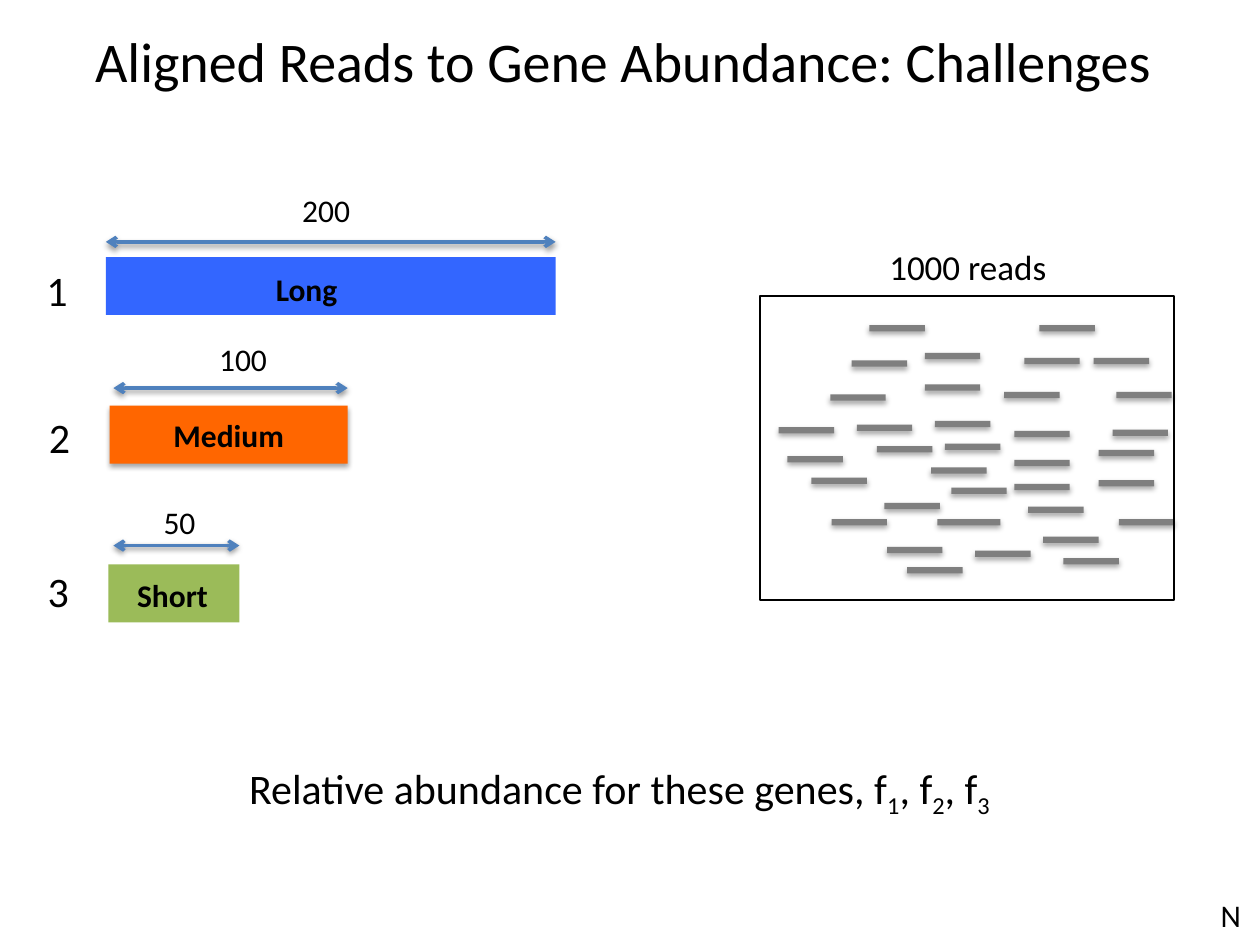
import pptx
import pptx.dml.color
import pptx.enum.shapes
import pptx.enum.text
import pptx.oxml
import pptx.oxml.ns
import pptx.util
from dataclasses import dataclass
from lxml import etree
from pptx.util import Inches

COLOURS = {
    "text": "000000", "arrow": "4F81BD", "read": "7F7F7F", "frame": "000000",
    "long": "3366FF", "medium": "FF6600", "short": "9BBB59",
}
FONT = "Calibri"
READ_WIDTH, READ_HEIGHT = 0.44, 0.05

# Left and top of each read, measured from the corner of the frame
READS = [
    (0.87, 0.23), (1.31, 0.45), (0.73, 0.51), (1.31, 0.70), (0.56, 0.78),
    (0.93, 1.19), (1.36, 1.36), (1.52, 1.52), (2.13, 1.67), (2.02, 1.49),
    (2.02, 1.30), (2.69, 1.22), (2.69, 1.46), (0.99, 1.64), (2.02, 1.07),
    (2.80, 1.06), (0.77, 1.02), (1.39, 0.99), (0.41, 1.44), (0.15, 1.04),
    (0.22, 1.27), (1.47, 1.17), (1.01, 1.99), (1.17, 2.15), (0.57, 1.77),
    (2.85, 1.77), (2.25, 1.91), (2.41, 2.08), (1.71, 2.02), (2.22, 0.23),
    (2.65, 0.49), (2.10, 0.49), (2.83, 0.76), (1.94, 0.76),
]
WIDE_READ = (1.41, 1.77, 0.50)


@dataclass
class Gene:
    """A gene bar; the offsets are measured from the corner of its bar."""
    number: str
    name: str
    length: str
    box: tuple
    number_at: tuple
    length_at: tuple
    arrow: tuple
    name_at: tuple = None
    shadow: bool = False


GENES = [
    Gene("1", "Long", "200", (0.84, 2.04, 3.57, 0.46), (-0.57, 0.01),
         (1.46, -0.57, 0.59), (0, 3.57, -0.12), (1.25, 0.05, 0.71)),
    Gene("2", "Medium", "100", (0.87, 3.22, 1.89, 0.46), (-0.58, 0),
         (0.77, -0.57, 0.59), (0.03, 1.89, -0.14), shadow=True),
    Gene("3", "Short", "50", (0.86, 4.48, 1.04, 0.46), (-0.58, -0.04),
         (0.34, -0.54, 0.46), (0.04, 1.04, -0.15), (0.13, 0.04, 0.77)),
]


def rgb(name):
    return pptx.dml.color.RGBColor.from_string(COLOURS[name])


def set_effects(shape, alpha=None, distance=1.8):
    """Give the shape a soft shadow below it, or none when alpha is None."""
    properties = shape._element.spPr
    for old in properties.findall(pptx.oxml.ns.qn("a:effectLst")):
        properties.remove(old)
    effects = etree.SubElement(properties, pptx.oxml.ns.qn("a:effectLst"))
    if alpha is None:
        return
    shadow = etree.SubElement(
        effects, pptx.oxml.ns.qn("a:outerShdw"),
        blurRad=str(pptx.util.Pt(3.1)), dist=str(pptx.util.Pt(distance)),
        dir="5400000", rotWithShape="0")
    colour = etree.SubElement(shadow, pptx.oxml.ns.qn("a:srgbClr"), val="000000")
    etree.SubElement(colour, pptx.oxml.ns.qn("a:alpha"), val=str(alpha * 1000))


def add_span(para, text, size, bold=False, subscript=False):
    span = para.add_run()
    span.text = text
    span.font.name = FONT
    span.font.size = pptx.util.Pt(size)
    span.font.bold = bold
    span.font.color.rgb = rgb("text")
    if subscript:
        span._r.get_or_add_rPr().set("baseline", "-25000")


def add_label(page, box, text, size, bold=False):
    """Add a one-line text box and return its paragraph."""
    label = page.shapes.add_textbox(*map(Inches, box))
    label.text_frame.word_wrap = False
    label.text_frame.auto_size = pptx.enum.text.MSO_AUTO_SIZE.SHAPE_TO_FIT_TEXT
    para = label.text_frame.paragraphs[0]
    add_span(para, text, size, bold)
    return para


def add_bar(page, box, colour, shadow=False):
    bar = page.shapes.add_shape(
        pptx.enum.shapes.MSO_SHAPE.RECTANGLE, *map(Inches, box))
    bar.fill.solid()
    bar.fill.fore_color.rgb = rgb(colour)
    bar.line.fill.background()
    set_effects(bar, 35 if shadow else None)
    return bar


def add_length_arrow(page, start, end, top):
    arrow = page.shapes.add_connector(
        pptx.enum.shapes.MSO_CONNECTOR.STRAIGHT,
        Inches(start), Inches(top), Inches(end), Inches(top))
    arrow.line.color.rgb = rgb("arrow")
    arrow.line.width = pptx.util.Pt(2)
    line = arrow.line._get_or_add_ln()
    for end_name in ("a:headEnd", "a:tailEnd"):
        etree.SubElement(line, pptx.oxml.ns.qn(end_name), type="arrow")
    set_effects(arrow, 38, 1.6)


def add_title(page, box):
    title = page.shapes.add_textbox(*map(Inches, box))
    title.text_frame.word_wrap = True
    title.text_frame.vertical_anchor = pptx.enum.text.MSO_ANCHOR.MIDDLE
    para = title.text_frame.paragraphs[0]
    para.alignment = pptx.enum.text.PP_ALIGN.CENTER
    add_span(para, "Aligned Reads to Gene Abundance: Challenges ", 32)


def add_gene(page, gene):
    left, top = gene.box[:2]
    bar = add_bar(page, gene.box, gene.name.lower(), gene.shadow)
    if gene.name_at:
        x, y, width = gene.name_at
        add_label(page, (left + x, top + y, width, 0.4), gene.name, 18, True)
    else:
        bar.text_frame.vertical_anchor = pptx.enum.text.MSO_ANCHOR.MIDDLE
        para = bar.text_frame.paragraphs[0]
        para.alignment = pptx.enum.text.PP_ALIGN.CENTER
        add_span(para, gene.name, 18, True)
    start, end, rise = gene.arrow
    add_length_arrow(page, left + start, left + end, top + rise)
    x, y, width = gene.length_at
    add_label(page, (left + x, top + y, width, 0.4), gene.length, 18)
    x, y = gene.number_at
    add_label(page, (left + x, top + y, 0.37, 0.5), gene.number, 24)


def add_reads(page, box):
    left, top = box[:2]
    for x, y, width in [(*read, READ_WIDTH) for read in READS] + [WIDE_READ]:
        add_bar(page, (left + x, top + y, width, READ_HEIGHT), "read", True)
    frame = page.shapes.add_shape(
        pptx.enum.shapes.MSO_SHAPE.RECTANGLE, *map(Inches, box))
    frame.fill.background()
    frame.line.color.rgb = rgb("frame")
    frame.line.width = pptx.util.Pt(1.25)
    set_effects(frame)
    add_label(page, (left + 0.93, top - 0.45, 1.46, 0.44), "1000 reads", 20)


def add_abundance(page, box):
    para = add_label(page, box, "Relative abundance for these genes, f", 24)
    for gene in GENES:
        if gene is not GENES[0]:
            add_span(para, ", f", 24)
        add_span(para, gene.number, 24, subscript=True)


def main():
    deck = pptx.Presentation()
    deck.slide_width, deck.slide_height = Inches(10), Inches(7.5)
    page = deck.slides.add_slide(deck.slide_layouts[6])
    for gene in GENES:
        add_gene(page, gene)
    add_reads(page, (6.03, 2.35, 3.29, 2.41))
    add_abundance(page, (1.88, 6, 6.36, 0.5))
    add_title(page, (0, 0.04, 10, 0.88))
    add_label(page, (9.59, 7.06, 0.36, 0.4), "N", 18)
    deck.save("out.pptx")


if __name__ == "__main__":
    main()
